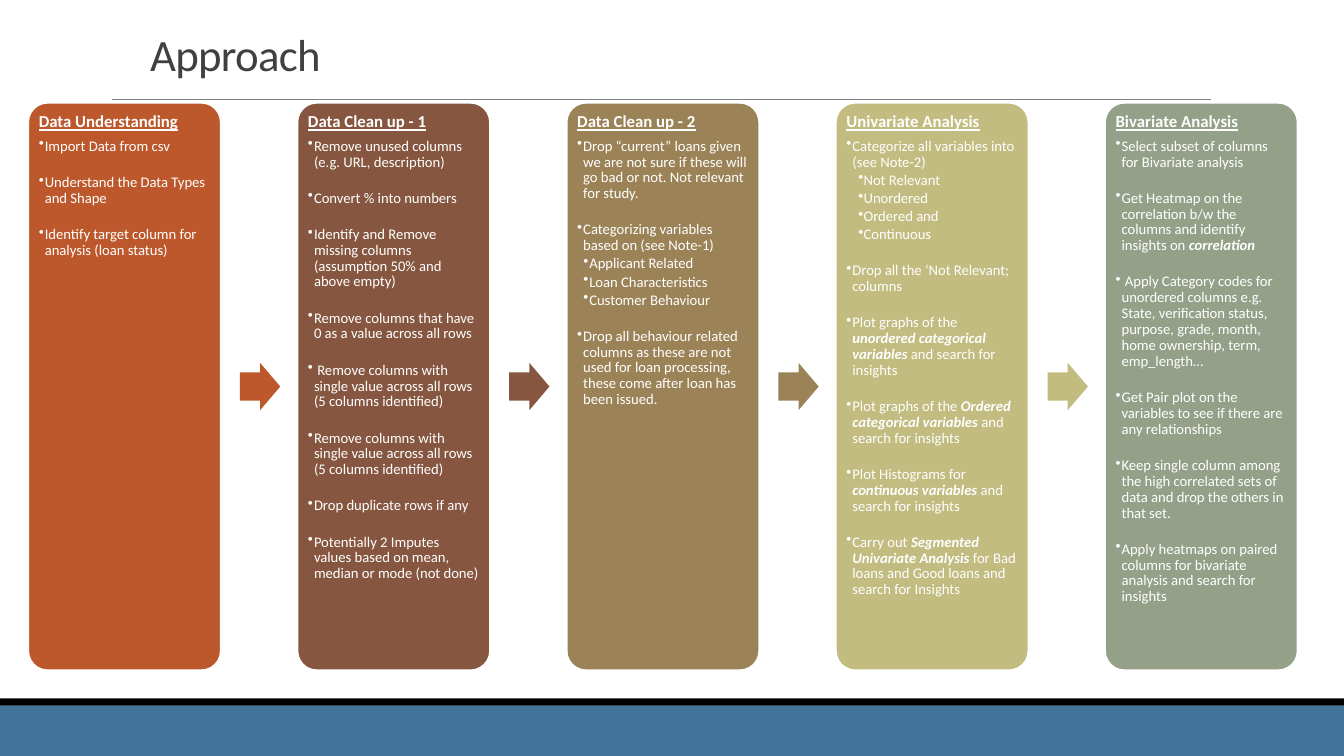
import lxml.etree
import pptx
import pptx.dml.color
import pptx.enum.shapes
import pptx.enum.text
import pptx.oxml.ns
import pptx.util

Inches = pptx.util.Inches
Pt = pptx.util.Pt
qn = pptx.oxml.ns.qn
SHAPES = pptx.enum.shapes.MSO_SHAPE
FONT = "Calibri"
EMPHASIS = "**"
STAGE_PITCH = 2.67

STAGES = [
    ("Data Understanding", "BD582C", -0.06, [
        ["Import Data from csv"],
        ["Understand the Data Types and Shape"],
        ["Identify target column for analysis (loan status)"],
    ]),
    ("Data Clean up - 1", "865640", -0.06, [
        ["Remove unused columns (e.g. URL, description)"],
        ["Convert % into numbers"],
        ["Identify and Remove missing columns (assumption 50% and above empty)"],
        ["Remove columns that have 0 as a value across all rows"],
        [" Remove columns with single value across all rows (5 columns identified)"],
        ["Remove columns with single value across all rows (5 columns identified)"],
        ["Drop duplicate rows if any"],
        ["Potentially 2 Imputes values based on mean, median or mode (not done)"],
    ]),
    ("Data Clean up - 2", "9B8357", -0.06, [
        ["Drop “current” loans given we are not sure if these will go bad or not. "
         "Not relevant for study."],
        ["Categorizing variables based on (see Note-1)",
         "Applicant Related", "Loan Characteristics", "Customer Behaviour"],
        ["Drop all behaviour related columns as these are not used for loan "
         "processing, these come after loan has been issued."],
    ]),
    ("Univariate Analysis", "C2BC80", 0, [
        ["Categorize all variables into (see Note-2)",
         "Not Relevant", "Unordered", "Ordered and", "Continuous"],
        ["Drop all the ‘Not Relevant; columns"],
        ["Plot graphs of the **unordered categorical variables** and search for insights"],
        ["Plot graphs of the **Ordered categorical variables **and search for insights"],
        ["Plot Histograms for **continuous variables** and search for insights"],
        ["Carry out **Segmented Univariate Analysis** for Bad loans and Good loans "
         "and search for Insights"],
    ]),
    ("Bivariate Analysis", "94A088", -0.06, [
        ["Select subset of columns for Bivariate analysis"],
        ["Get Heatmap on the correlation b/w the columns and identify insights on "
         "**correlation**"],
        [" Apply Category codes for unordered columns e.g. State, verification status, "
         "purpose, grade, month, home ownership, term, emp_length…"],
        ["Get Pair plot on the variables to see if there are any relationships"],
        ["Keep single column among the high correlated sets of data and drop the "
         "others in that set."],
        ["Apply heatmaps on paired columns for bivariate analysis and search for insights"],
    ]),
]


def color(hex_value):
    return pptx.dml.color.RGBColor.from_string(hex_value)


def add_block(slide, kind, box, fill, outline=None):
    block = slide.shapes.add_shape(kind, *map(Inches, box))
    block.shadow.inherit = False
    block.fill.solid()
    block.fill.fore_color.rgb = color(fill)
    if outline:
        block.line.color.rgb = color(outline)
        block.line.width = Pt(1.25)
    else:
        block.line.fill.background()
    return block


def add_footer(slide, box):
    left, top, width, height = box
    stripe = 0.07
    add_block(slide, SHAPES.RECTANGLE, (left, top + stripe, width, height - stripe), "40749B")
    add_block(slide, SHAPES.RECTANGLE, (left, top, width, stripe), "000000")


def add_heading(slide, box):
    left, top, width, height = box
    rule = slide.shapes.add_connector(
        pptx.enum.shapes.MSO_CONNECTOR.STRAIGHT,
        Inches(left - 0.28), Inches(0.99), Inches(left + 10.62), Inches(0.99))
    rule.line.color.rgb = color("808080")
    rule.line.width = Pt(0.5)
    lxml.etree.SubElement(rule._element.spPr, qn("a:effectLst"))

    title = slide.shapes.add_textbox(*map(Inches, box)).text_frame
    title.word_wrap = True
    title.vertical_anchor = pptx.enum.text.MSO_ANCHOR.BOTTOM
    title.text = "Approach"
    title.paragraphs[0].line_spacing = 0.85
    run = title.paragraphs[0].runs[0]
    run.font.size = Pt(32)
    run.font.name = FONT
    run.font.color.rgb = color("404040")
    run.font._element.set("spc", "-50")


def style_run(run, size, bold=False, italic=False, underline=False):
    run.font.name = FONT
    run.font.size = Pt(size)
    run.font.color.rgb = color("FFFFFF")
    run.font.bold = bold
    run.font.italic = italic
    run.font.underline = underline


def add_bullet(frame, text, margin, indent, space_before):
    bullet = frame.add_paragraph()
    bullet.line_spacing = 0.9
    bullet.space_before = Pt(space_before)
    bullet.space_after = Pt(1.6)
    properties = bullet._p.get_or_add_pPr()
    properties.set("marL", str(Inches(margin)))
    properties.set("indent", str(Inches(indent)))
    lxml.etree.SubElement(properties, qn("a:buChar")).set("char", "•")
    for index, part in enumerate(text.split(EMPHASIS)):
        if part:
            run = bullet.add_run()
            run.text = part
            emphasized = index % 2 == 1
            style_run(run, 10.5, bold=emphasized, italic=emphasized)


def add_stage(slide, box, name, fill, sub_indent, groups):
    left, top, width, height = box
    panel = add_block(slide, SHAPES.ROUNDED_RECTANGLE, box, fill, "FFFFFF")
    panel.adjustments[0] = 0.1

    inset = 0.055
    steps = slide.shapes.add_textbox(
        Inches(left + inset), Inches(top + inset),
        Inches(width - 2 * inset), Inches(height - 2 * inset)).text_frame
    steps.word_wrap = True
    steps.margin_left = steps.margin_right = Inches(0.05)
    steps.margin_top = steps.margin_bottom = Inches(0.05)
    steps.text = name
    heading = steps.paragraphs[0]
    heading.line_spacing = 0.9
    heading.space_after = Pt(5)
    style_run(heading.runs[0], 12, bold=True, underline=True)

    for index, (step, *details) in enumerate(groups):
        add_bullet(steps, step, 0.06, -0.06, 12.9 if index else 0)
        for detail in details:
            add_bullet(steps, detail, 0.12, sub_indent, 0)


def add_process(slide, box):
    left, top, width, height = box
    for index, (name, fill, sub_indent, groups) in enumerate(STAGES):
        stage_left = left + index * STAGE_PITCH
        add_stage(slide, (stage_left, top, 1.91, height), name, fill, sub_indent, groups)
        if index < len(STAGES) - 1:
            arrow = add_block(slide, SHAPES.RIGHT_ARROW,
                              (stage_left + 2.1, top + height / 2 - 0.235, 0.4, 0.47), fill)
            arrow.adjustments[0] = 0.6
            arrow.adjustments[1] = 0.5


def main():
    deck = pptx.Presentation()
    deck.slide_width = Inches(13.33)
    deck.slide_height = Inches(7.5)
    slide = deck.slides.add_slide(deck.slide_layouts[6])
    add_footer(slide, (0, 6.93, 13.33, 0.57))
    add_heading(slide, (1.39, 0.31, 9.96, 0.54))
    add_process(slide, (0.28, 1.02, 12.59, 5.63))
    deck.save("out.pptx")


if __name__ == "__main__":
    main()
